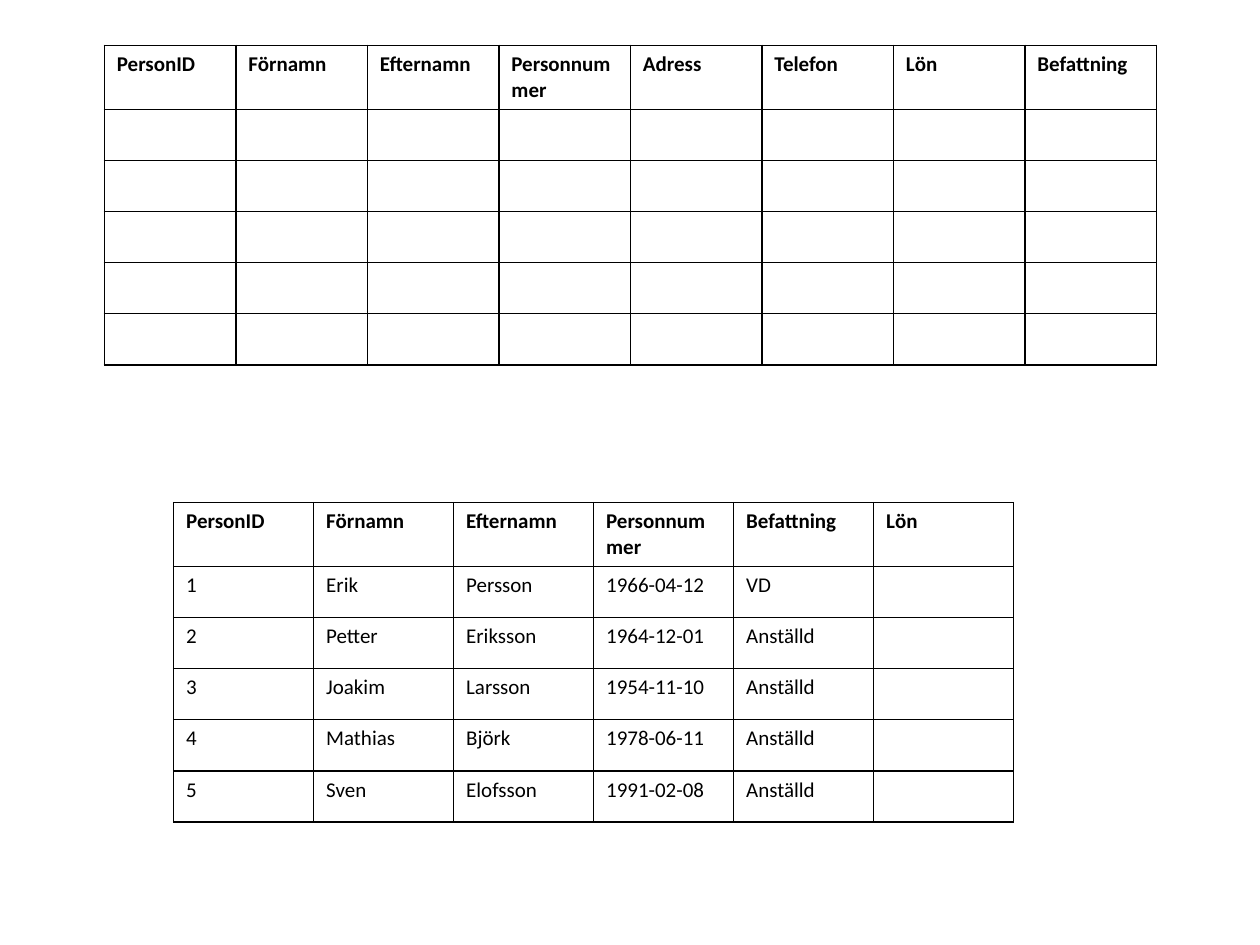
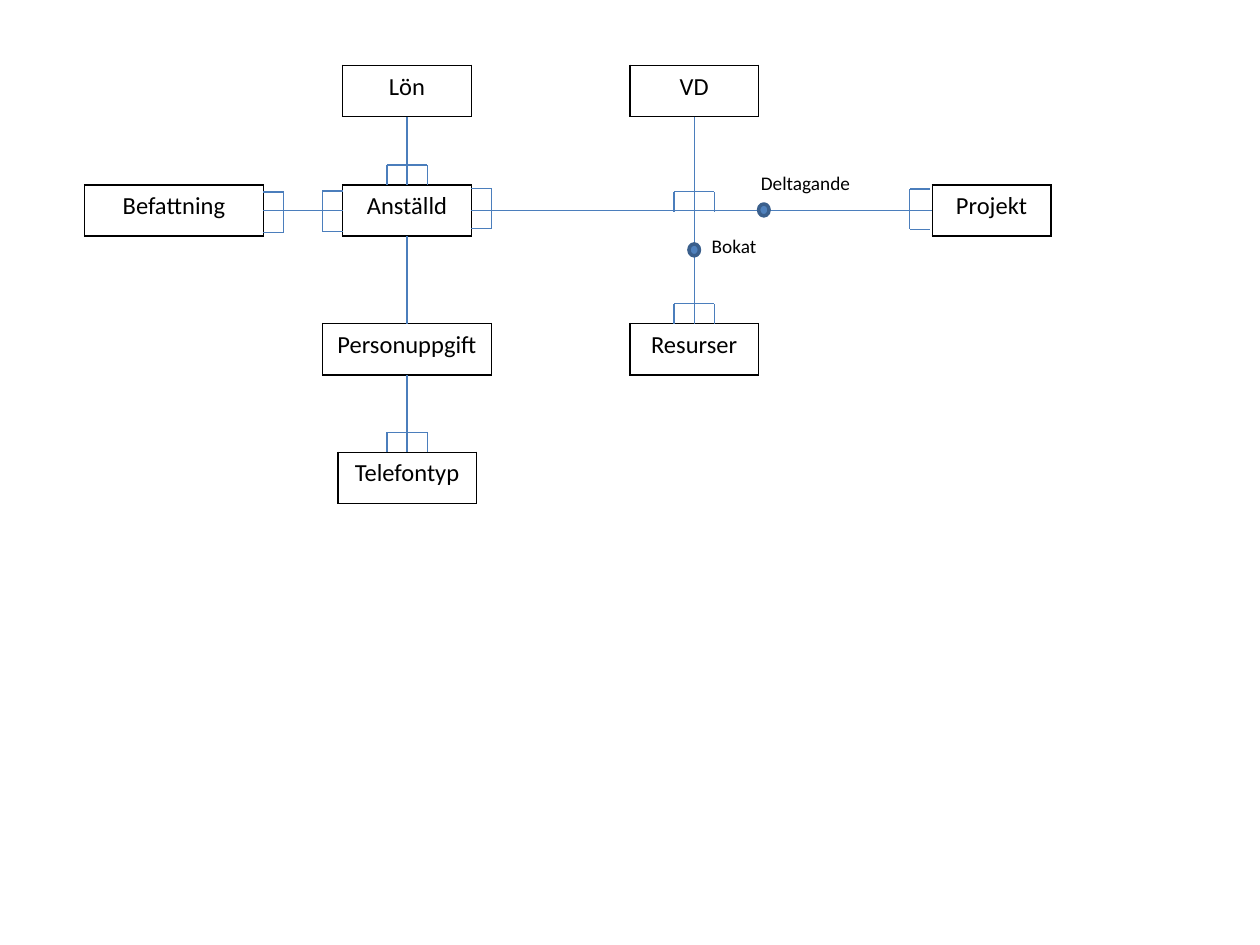
from dataclasses import dataclass
from itertools import product

from lxml.etree import SubElement
from pptx import Presentation
from pptx.dml.color import RGBColor
from pptx.enum.shapes import MSO_CONNECTOR as Connector, MSO_SHAPE as Shape
from pptx.enum.text import MSO_AUTO_SIZE as AutoSize, PP_ALIGN as Align
from pptx.oxml.ns import qn
from pptx.util import Pt


@dataclass(frozen=True)
class Theme:
    """Colours, type sizes and measures shared by the slides."""
    font: str = "Calibri"
    ink: str = "000000"
    link: str = "4B7EBC"
    dot_fill: str = "4F81BD"
    dot_line: str = "3A5F8C"
    table_size: int = 12
    entity_size: int = 14
    label_size: int = 11
    row_height: float = 29.2
    border: float = 1
    link_width: float = 0.75


THEME = Theme()

STAFF_FIELDS = ["PersonID", "Förnamn", "Efternamn", "Personnummer",
                "Adress", "Telefon", "Lön", "Befattning"]
EMPTY_STAFF = [STAFF_FIELDS] + [[""] * len(STAFF_FIELDS)] * 5
STAFF = [
    ["PersonID", "Förnamn", "Efternamn", "Personnummer", "Befattning", "Lön"],
    ["1", "Erik", "Persson", "1966-04-12", "VD", ""],
    ["2", "Petter", "Eriksson", "1964-12-01", "Anställd", ""],
    ["3", "Joakim", "Larsson", "1954-11-10", "Anställd", ""],
    ["4", "Mathias", "Björk", "1978-06-11", "Anställd", ""],
    ["5", "Sven", "Elofsson", "1991-02-08", "Anställd", ""],
]

# Centre lines and row tops of the diagram
STAFF_X, BOSS_X = 232.6, 396.7
TOP, MIDDLE, LOWER, BOTTOM = 37.4, 105.8, 185, 258.5

# Entity: centre x, top, width
ENTITIES = {
    "Befattning": (99.4, MIDDLE, 102.2),
    "Lön": (STAFF_X, TOP, 73.6),
    "Anställd": (STAFF_X, MIDDLE, 73.6),
    "VD": (BOSS_X, TOP, 73.6),
    "Telefontyp": (STAFF_X, BOTTOM, 79.2),
    "Projekt": (566.6, MIDDLE, 67.7),
    "Resurser": (BOSS_X, LOWER, 73.6),
    "Personuppgift": (STAFF_X, LOWER, 96.5),
}
RELATIONS = [("Anställd", "Projekt"), ("Befattning", "Anställd"),
             ("Lön", "Anställd"), ("Anställd", "Personuppgift"),
             ("Personuppgift", "Telefontyp"), ("VD", "Resurser")]

# Bracket for "many": middle of its open side, and where it points
LEFT, RIGHT, UP = (-1, 0), (1, 0), (0, -1)
BRACKETS = [
    (531.4, 119.5, LEFT), (269.3, 119.2, RIGHT),
    (195.8, 120.6, LEFT), (150.5, 121.3, RIGHT),
    (STAFF_X, BOTTOM, UP), (BOSS_X, LOWER, UP),
    (STAFF_X, MIDDLE, UP), (BOSS_X, 121, UP),
]
BRACKET_DEPTH, BRACKET_HALF = 11.5, 11.5
DOT_WIDTH, DOT_HEIGHT = 6, 6.8

# Label: dot centre, label left, label top, label width
ACTIVITIES = {
    "Deltagande": (436.5, 120, 427.7, 94.3, 79.2),
    "Bokat": (BOSS_X, 142.8, 399.6, 130.3, 59),
}


def add_run(paragraph, text, size, bold=False):
    """Add one run in the theme's font."""
    run = paragraph.add_run()
    run.text = text
    run.font.name, run.font.size, run.font.bold = THEME.font, Pt(size), bold
    run.font.color.rgb = RGBColor.from_string(THEME.ink)


def border_cell(cell):
    """Draw a thin line on all four sides of a cell."""
    props = cell._tc.get_or_add_tcPr()
    for place, side in enumerate(("lnL", "lnR", "lnT", "lnB")):
        line = props.makeelement(qn(f"a:{side}"), {"w": str(Pt(THEME.border))})
        fill = SubElement(line, qn("a:solidFill"))
        SubElement(fill, qn("a:srgbClr"), val=THEME.ink)
        props.insert(place, line)


def add_grid(slide, rows, left, top, width, size, header=True, align=Align.LEFT):
    """Add a bordered table with equal columns and rows."""
    row_count, column_count = len(rows), len(rows[0])
    table = slide.shapes.add_table(
        row_count, column_count, Pt(left), Pt(top), Pt(width),
        Pt(THEME.row_height * row_count)).table
    table.first_row = table.horz_banding = False
    for r, c in product(range(row_count), range(column_count)):
        cell = table.cell(r, c)
        cell.fill.background()
        border_cell(cell)
        paragraph = cell.text_frame.paragraphs[0]
        paragraph.alignment = align
        if rows[r][c]:
            add_run(paragraph, rows[r][c], size, bold=header and r == 0)


def add_link(slide, start, end):
    """Add a straight line between two points."""
    link = slide.shapes.add_connector(
        Connector.STRAIGHT, *(Pt(value) for value in (*start, *end)))
    link.line.color.rgb = RGBColor.from_string(THEME.link)
    link.line.width = Pt(THEME.link_width)
    SubElement(link._element.spPr, qn("a:effectLst"))


def relate(slide, first, second):
    """Link the facing edges of two entities, the first left of or above."""
    x1, top1, width1 = ENTITIES[first]
    x2, top2, width2 = ENTITIES[second]
    if top1 == top2:
        y = top1 + THEME.row_height / 2
        add_link(slide, (x1 + width1 / 2, y), (x2 - width2 / 2, y))
    else:
        add_link(slide, (x1, top1 + THEME.row_height), (x2, top2))


def add_bracket(slide, x, y, direction):
    """Add a three-sided bracket, open at (x, y)."""
    dx, dy = direction
    feet = [(x + dy * sign * BRACKET_HALF, y + dx * sign * BRACKET_HALF)
            for sign in (1, -1)]
    corners = [(fx + dx * BRACKET_DEPTH, fy + dy * BRACKET_DEPTH)
               for fx, fy in feet]
    add_link(slide, *corners)
    for foot, corner in zip(feet, corners):
        add_link(slide, foot, corner)


def add_dot(slide, x, y):
    """Add the dot that marks an activity on a link."""
    dot = slide.shapes.add_shape(
        Shape.OVAL, Pt(x - DOT_WIDTH / 2), Pt(y - DOT_HEIGHT / 2),
        Pt(DOT_WIDTH), Pt(DOT_HEIGHT))
    dot.shadow.inherit = False
    dot.fill.solid()
    dot.fill.fore_color.rgb = RGBColor.from_string(THEME.dot_fill)
    dot.line.color.rgb = RGBColor.from_string(THEME.dot_line)
    dot.line.width = Pt(2)


def add_label(slide, text, left, top, width):
    """Add the name of an activity."""
    frame = slide.shapes.add_textbox(
        Pt(left), Pt(top), Pt(width), Pt(20.6)).text_frame
    frame.word_wrap = True
    frame.auto_size = AutoSize.SHAPE_TO_FIT_TEXT
    add_run(frame.paragraphs[0], text, THEME.label_size)


def build_tables(slide):
    """Build the two staff tables."""
    add_grid(slide, EMPTY_STAFF, 59.6, 26, 601.2, THEME.table_size)
    add_grid(slide, STAFF, 99.2, 287.2, 480, THEME.table_size)


def build_diagram(slide):
    """Build the entity diagram."""
    for name, (x, top, width) in ENTITIES.items():
        add_grid(slide, [[name]], x - width / 2, top, width,
                 THEME.entity_size, header=False, align=Align.CENTER)
    for first, second in RELATIONS:
        relate(slide, first, second)
    for bracket in BRACKETS:
        add_bracket(slide, *bracket)
    for dot_x, dot_y, *_ in ACTIVITIES.values():
        add_dot(slide, dot_x, dot_y)
    for name, (_, _, *place) in ACTIVITIES.items():
        add_label(slide, name, *place)


def main():
    """Build and save the presentation."""
    deck = Presentation()
    deck.slide_width, deck.slide_height = Pt(720), Pt(540)
    blank = deck.slide_layouts[6]
    for build in (build_tables, build_diagram):
        build(deck.slides.add_slide(blank))
    deck.save("out.pptx")


main()
